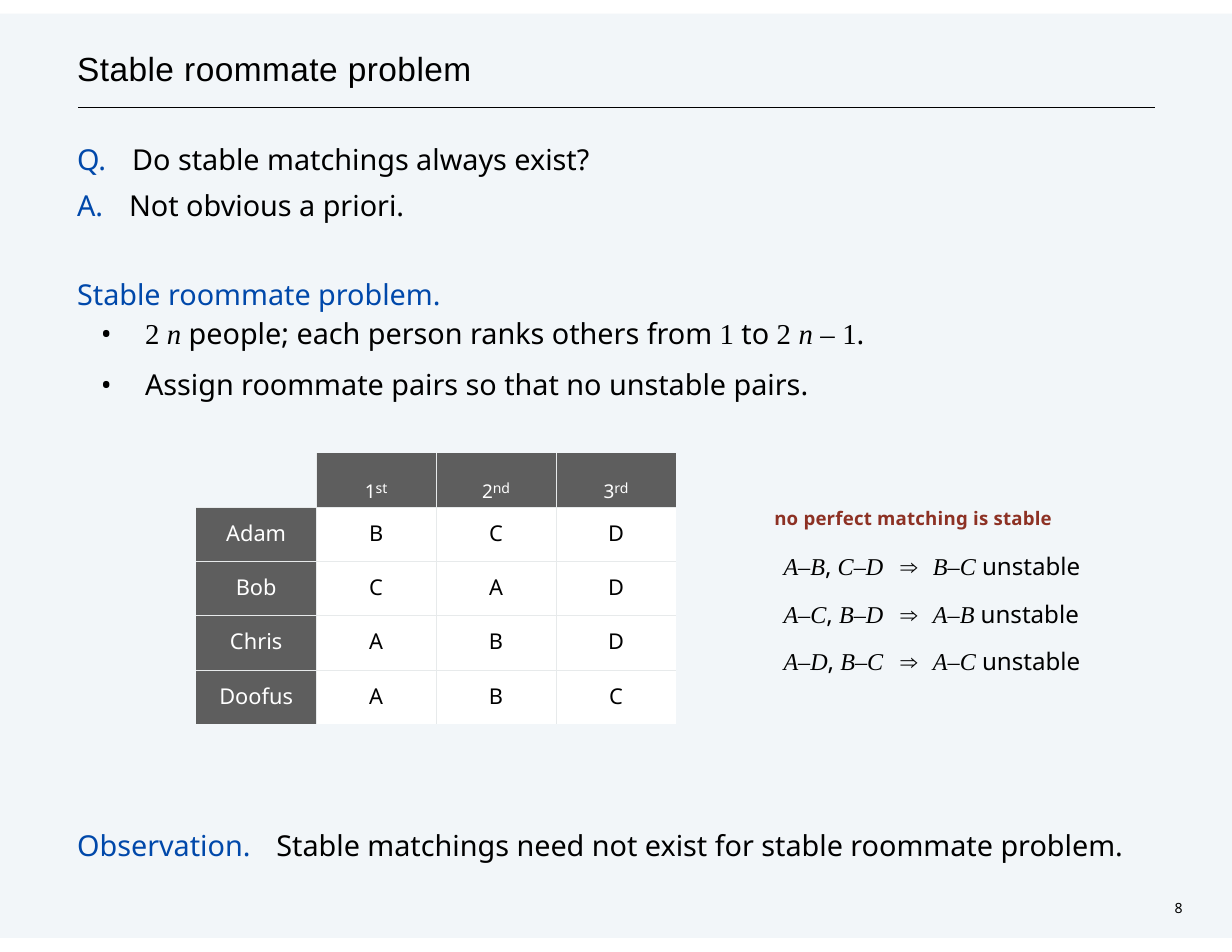
from dataclasses import dataclass
from itertools import groupby

from lxml.etree import SubElement
from pptx import Presentation
from pptx.dml.color import RGBColor
from pptx.enum.shapes import MSO_CONNECTOR as Connector, MSO_SHAPE as Shape
from pptx.enum.text import PP_ALIGN as Align
from pptx.oxml import parse_xml
from pptx.oxml.ns import nsdecls, qn
from pptx.util import Cm, Pt


@dataclass(frozen=True)
class Theme:
    """Colours, typefaces and type sizes of the slide."""
    black: str = "000000"
    white: str = "FFFFFF"
    blue: str = "0048AA"
    red: str = "8D3124"
    tint: str = "005493"
    header: str = "5E5E5E"
    border: str = "E7EAEB"
    sans: str = "Noto Sans"
    serif: str = "Times New Roman"
    arial: str = "Arial"
    title: float = 21.5
    body: float = 18.5
    formula: float = 15.5
    cell: float = 14
    ordinal: float = 21
    note: float = 12
    small: float = 9


THEME = Theme()
NO_STYLE = "{2D5ABB26-0587-4C30-8999-92F81FD0307C}"
PREFERENCES = {"Adam": "BCD", "Bob": "CAD", "Chris": "ABD", "Doofus": "ABC"}
ORDINALS = [("1", "st"), ("2", "nd"), ("3", "rd")]
INSTABILITIES = [("A–B, C–D", "B–C"), ("A–C, B–D", "A–B"), ("A–D, B–C", "A–C")]


def add_run(paragraph, text, size, color=THEME.black, face=THEME.sans,
            baseline=0, spacing=0, **flags):
    """Append one formatted run to a paragraph."""
    run = paragraph.add_run()
    run.text = text
    for attribute, value in {"name": face, "size": Pt(size), **flags}.items():
        setattr(run.font, attribute, value)
    run.font.color.rgb = RGBColor.from_string(color)
    for attribute, value in {"baseline": baseline * 1000, "spc": round(spacing * 100)}.items():
        if value:
            run.font._element.set(attribute, str(value))


def add_formula(paragraph, formula, size):
    """Append a formula with italic serif letters and sans commas."""
    def style(symbol):
        if symbol in ", ":
            return THEME.sans, False
        return THEME.serif, symbol.isalpha()

    for (face, italic), symbols in groupby(formula, style):
        add_run(paragraph, "".join(symbols), size, face=face, italic=italic)


def set_indent(paragraph, margin, hanging=0, bullet=None, tab=None):
    """Set the left margin, bullet and tab stop of a paragraph."""
    properties = paragraph._p.get_or_add_pPr()
    properties.set("marL", str(Cm(margin)))
    if hanging:
        properties.set("indent", str(-Cm(hanging)))
    if bullet:
        SubElement(properties, qn("a:buFont"), typeface=THEME.sans)
        SubElement(properties, qn("a:buChar"), char=bullet)
    if tab:
        stops = SubElement(properties, qn("a:tabLst"))
        SubElement(stops, qn("a:tab"), pos=str(Cm(tab)), algn="l")


def add_paragraphs(slide, box, gaps=(0,), line=None, top=0.03):
    """Add a text box and return one paragraph for each gap before it."""
    frame = slide.shapes.add_textbox(*map(Cm, box)).text_frame
    layout = {"word_wrap": True, "margin_left": 0, "margin_right": 0,
              "margin_top": Cm(top), "margin_bottom": 0}
    for attribute, value in layout.items():
        setattr(frame, attribute, value)
    paragraphs = [frame.paragraphs[0]] + [frame.add_paragraph() for _ in gaps[1:]]
    for paragraph, gap in zip(paragraphs, gaps):
        paragraph.space_before = Pt(gap)
        if line:
            paragraph.line_spacing = Pt(line)
    return paragraphs


def add_backdrop(slide):
    """Draw the pale band and the rule under the title."""
    band = slide.shapes.add_shape(Shape.RECTANGLE, 0, Cm(0.31), Cm(27.94), Cm(20.96))
    band.shadow.inherit = False
    band.fill.solid()
    band.fill.fore_color.rgb = RGBColor.from_string(THEME.tint)
    tint = band._element.spPr.find(qn("a:solidFill"))[0]
    SubElement(tint, qn("a:alpha"), val="5000")
    band.line.fill.background()
    rule = slide.shapes.add_connector(
        Connector.STRAIGHT, Cm(1.78), Cm(2.44), Cm(26.19), Cm(2.44))
    rule.line.width = Pt(0.77)
    rule.line.color.rgb = RGBColor.from_string(THEME.black)
    SubElement(rule._element.spPr, qn("a:effectLst"))


def add_line(slide, box, text, size, **style):
    """Add a single line of text in one style."""
    paragraph, = add_paragraphs(slide, box)
    add_run(paragraph, text, size, **style)


def add_labelled(paragraph, label, text, tab):
    """Write a blue label followed by text at a tab stop."""
    set_indent(paragraph, 0.1, tab=tab)
    add_run(paragraph, label + "\t", THEME.body, THEME.blue)
    add_run(paragraph, text, THEME.body)


def add_problem(slide):
    """Write the question, its answer and the problem definition."""
    question, answer, heading, people, goal = add_paragraphs(
        slide, (1.65, 2.92, 18.44, 6.38), (0, 4.6, 32.2, 0, 7.8), line=25, top=0.2)
    add_labelled(question, "Q.", "Do stable matchings always exist?", 1.25)
    add_labelled(answer, "A.", "Not obvious a priori.", 1.18)
    set_indent(heading, 0.1)
    add_run(heading, "Stable roommate problem.", THEME.body, THEME.blue)
    for item in (people, goal):
        set_indent(item, 1.64, 1, bullet="•")
    add_formula(people, "2 n ", THEME.body)
    add_run(people, "people; each person ranks others from ", THEME.body)
    add_formula(people, "1 ", THEME.body)
    add_run(people, "to ", THEME.body)
    add_formula(people, "2 n – 1", THEME.body)
    add_run(people, ".", THEME.body)
    add_run(goal, "Assign roommate pairs so that no unstable pairs.", THEME.body)


def format_cell(cell, fill, borders, top):
    """Set the fill, inner borders and margins of a cell, and centre its text."""
    margins = {"margin_left": 0, "margin_right": 0, "margin_top": Cm(top), "margin_bottom": 0}
    for attribute, value in margins.items():
        setattr(cell, attribute, value)
    properties = cell._tc.get_or_add_tcPr()
    for side in borders:
        properties.append(parse_xml(
            f'<a:ln{side} {nsdecls("a")} w="3175"><a:solidFill>'
            f'<a:srgbClr val="{THEME.border}"/></a:solidFill></a:ln{side}>'))
    if fill:
        cell.fill.solid()
        cell.fill.fore_color.rgb = RGBColor.from_string(fill)
    else:
        cell.fill.background()
    cell.text_frame.paragraphs[0].alignment = Align.CENTER


def add_preferences(slide):
    """Tabulate each person's ranking of the others."""
    rows, columns = len(PREFERENCES) + 1, len(ORDINALS) + 1
    table = slide.shapes.add_table(rows, columns, Cm(4.45), Cm(10.27),
                                   Cm(2.72 * columns), Cm(1.23 * rows)).table
    table.first_row = table.horz_banding = False
    table._tbl.tblPr.find(qn("a:tableStyleId")).text = NO_STYLE
    entries = [["", *ORDINALS]] + [[name, *ranks] for name, ranks in PREFERENCES.items()]
    for r, entry in enumerate(entries):
        for c, value in enumerate(entry):
            cell = table.cell(r, c)
            inner = {"L": c > 0, "R": c < columns - 1, "T": r > 0, "B": r < rows - 1}
            heading = r == 0 or c == 0
            fill = (THEME.header if heading else THEME.white) if value else None
            format_cell(cell, fill, [side for side in inner if inner[side]],
                        0.25 if r else 0.13)
            paragraph = cell.text_frame.paragraphs[0]
            color = THEME.white if heading else THEME.black
            if r == 0 and value:
                number, suffix = value
                add_run(paragraph, number, THEME.ordinal, color, baseline=-14)
                add_run(paragraph, suffix, THEME.small, color)
            elif value:
                add_run(paragraph, value, THEME.cell, color)


def add_instabilities(slide):
    """List each perfect matching beside its unstable pair."""
    gaps = (0, 9.5, 9.5)
    matchings = add_paragraphs(slide, (17.77, 12.43, 2.41, 2.87), gaps, line=21, top=0)
    conclusions = add_paragraphs(slide, (20.42, 12.43, 4.6, 2.87), gaps, line=21, top=0)
    for matching, conclusion, (pairs, blocking) in zip(matchings, conclusions, INSTABILITIES):
        add_formula(matching, pairs, THEME.formula)
        set_indent(conclusion, 0, tab=0.74)
        add_run(conclusion, "⇒\t", THEME.formula, face=THEME.arial)
        add_formula(conclusion, blocking, THEME.formula)
        add_run(conclusion, " unstable", THEME.formula)


def main():
    """Build and save the slide."""
    deck = Presentation()
    deck.slide_width, deck.slide_height = Cm(27.94), Cm(21.59)
    slide = deck.slides.add_slide(deck.slide_layouts[6])
    add_backdrop(slide)
    add_line(slide, (1.75, 1.05, 15.7, 0.99), "Stable roommate problem",
             THEME.title, face=THEME.arial, spacing=0.3)
    add_line(slide, (26.64, 20.38, 0.56, 0.46), "8", THEME.small)
    add_problem(slide)
    observation, = add_paragraphs(slide, (1.65, 18.74, 24.51, 0.86))
    add_labelled(observation, "Observation.", "Stable matchings need not exist for "
                 "stable roommate problem.", 4.52)
    add_preferences(slide)
    add_instabilities(slide)
    add_line(slide, (17.56, 11.47, 6.65, 0.58), "no perfect matching is stable",
             THEME.note, color=THEME.red, bold=True, spacing=0.15)
    deck.save("out.pptx")


if __name__ == "__main__":
    main()
